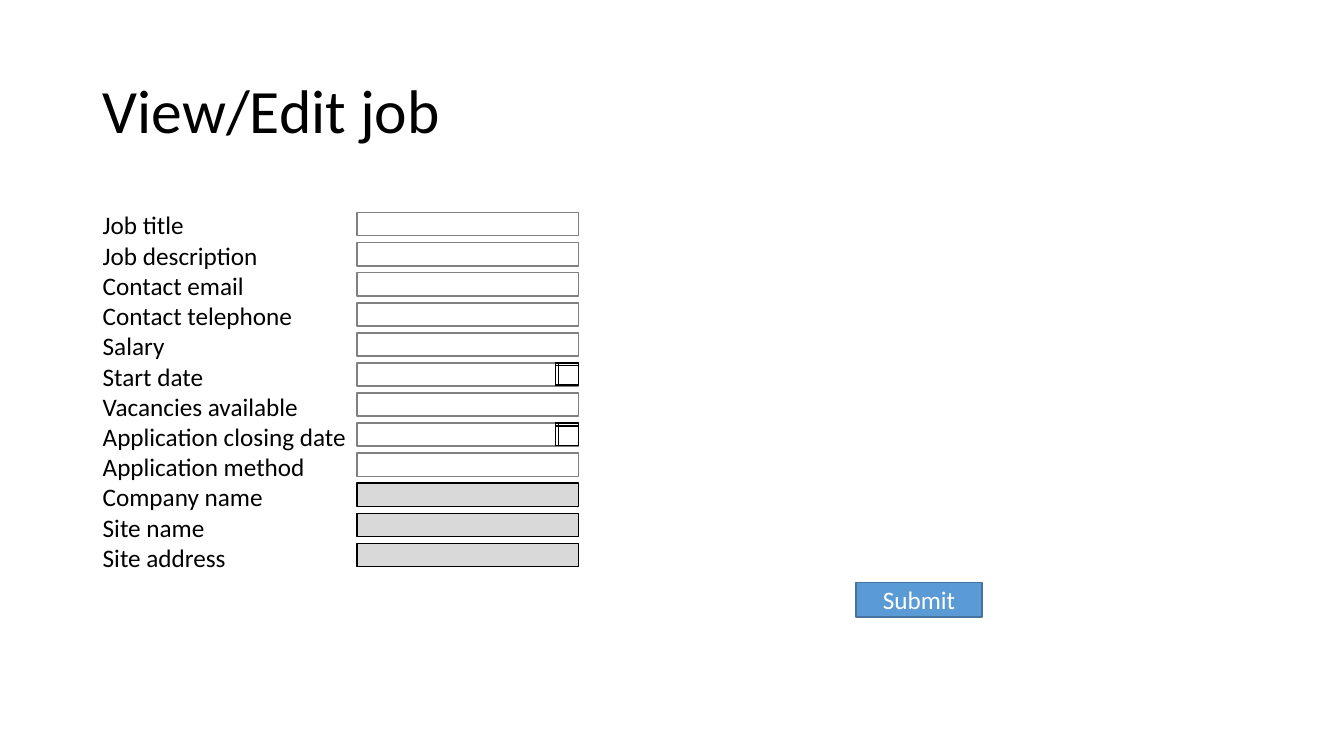
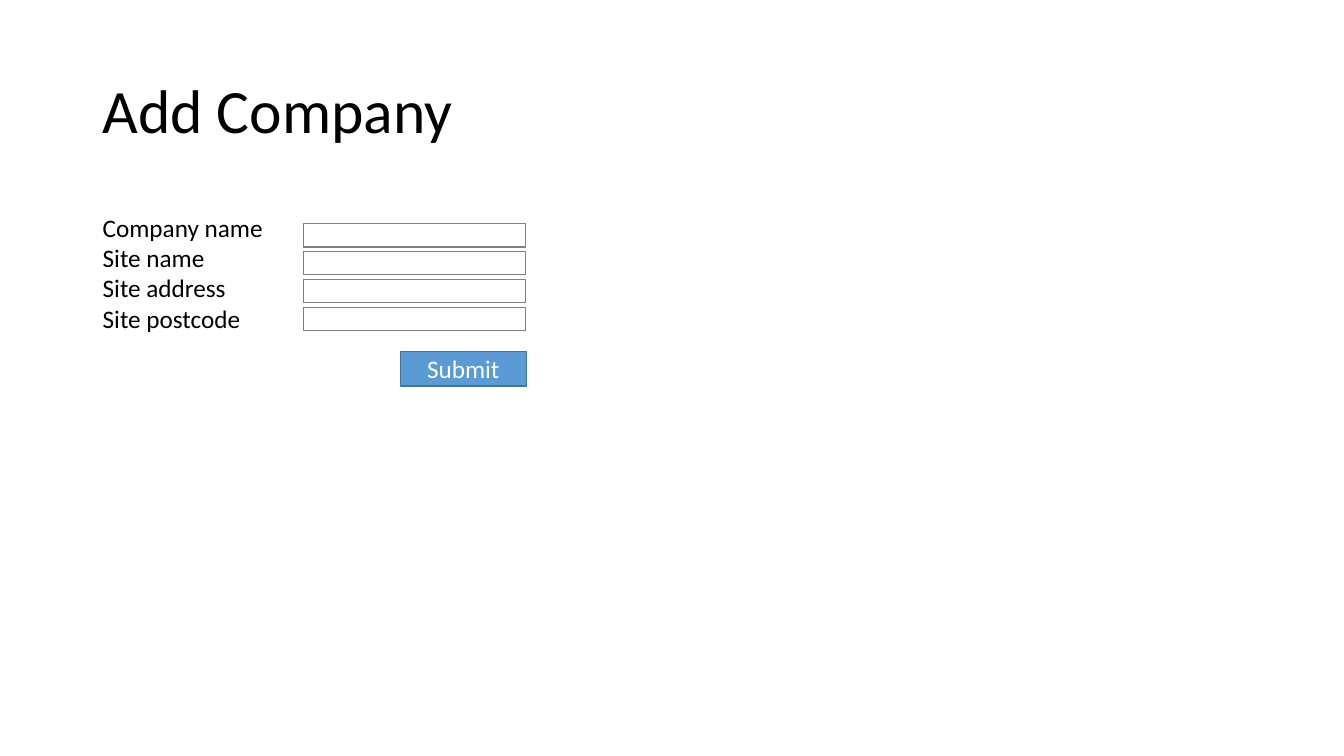
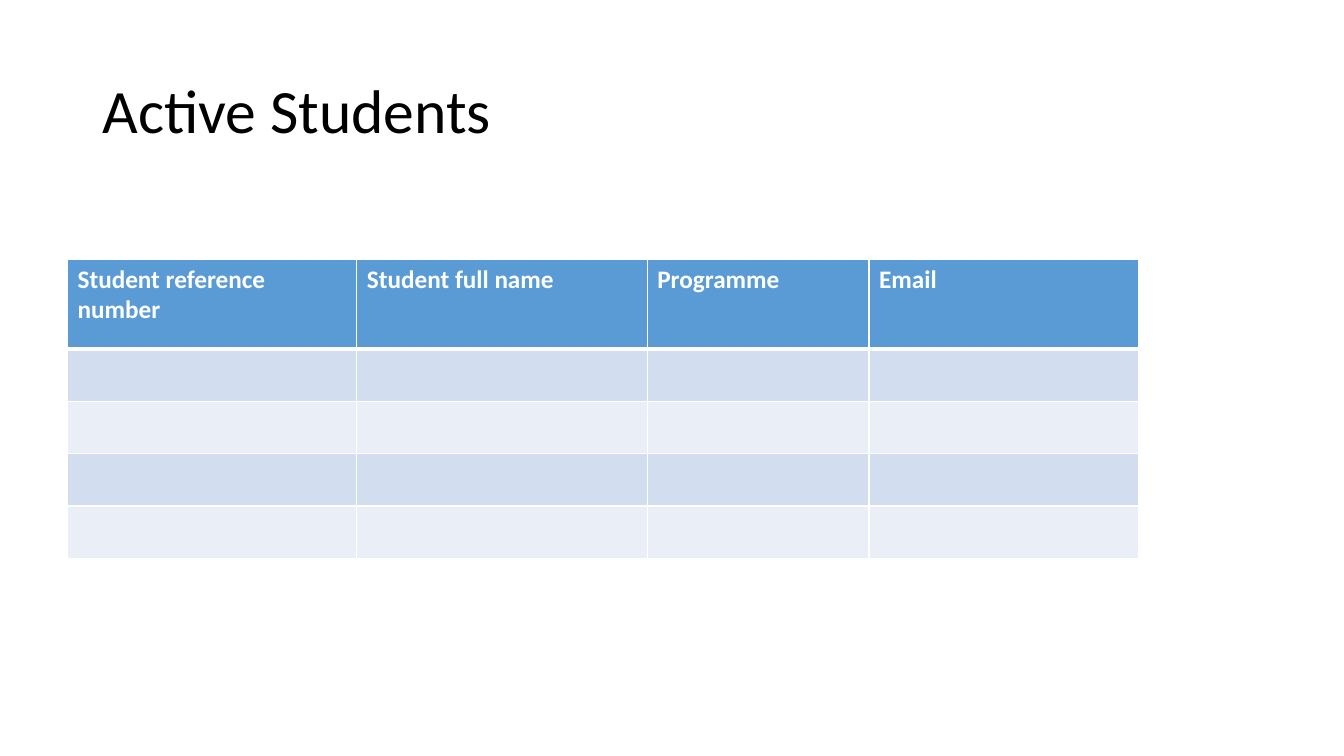
from lxml import etree
from pptx import Presentation
from pptx.dml.color import RGBColor
from pptx.enum.shapes import MSO_SHAPE as Shape
from pptx.enum.text import MSO_ANCHOR as Anchor, PP_ALIGN as Align
from pptx.oxml.ns import qn
from pptx.util import Inches, Pt

# Shared colours and text formats
BLACK, WHITE, GREY, LIGHT_GREY = "000000", "FFFFFF", "808080", "D9D9D9"
BLUE, DARK_BLUE = "5B9BD5", "43739E"
BANDS = ("D2DEEF", "EAEFF7")
TITLE = {"name": "Calibri", "size": Pt(44)}
BODY = {"name": "Calibri", "size": Pt(18)}
HEADER = {**BODY, "bold": True}

# Shared form sizes
LEFT, LABEL_WIDTH = 0.92, 2.62
FIELD_WIDTH, FIELD_HEIGHT = 2.2, 0.23


def color(value):
    return RGBColor.from_string(value)


def write(frame, lines, style, ink, align=Align.LEFT, spacing=None):
    for index, line in enumerate(lines):
        para = frame.paragraphs[0] if index == 0 else frame.add_paragraph()
        para.alignment = align
        if spacing:
            para.line_spacing = spacing
        span = para.add_run()
        span.text = line
        for name, value in style.items():
            setattr(span.font, name, value)
        span.font.color.rgb = color(ink)


def add_title(page, text):
    box = page.shapes.add_textbox(Inches(LEFT), Inches(0.4), Inches(11.5), Inches(1.45))
    box.text_frame.word_wrap = True
    box.text_frame.vertical_anchor = Anchor.MIDDLE
    write(box.text_frame, [text], TITLE, BLACK, spacing=0.9)


def add_box(page, place, fill, line=None, kind=Shape.RECTANGLE):
    box = page.shapes.add_shape(kind, *map(Inches, place))
    box.shadow.inherit = False
    box.fill.solid()
    box.fill.fore_color.rgb = color(fill)
    if line:
        box.line.color.rgb = color(line)
        box.line.width = Pt(1)
    else:
        box.line.fill.background()
    box.text_frame.vertical_anchor = Anchor.MIDDLE
    return box


def add_labels(page, top, height, labels):
    box = add_box(page, (LEFT, top, LABEL_WIDTH, height), WHITE)
    write(box.text_frame, labels, BODY, BLACK)


def add_fields(page, left, first, last, count, locked=0, dates=()):
    """Spread fields evenly; the last ones are locked, some take a date."""
    step = (last - first) / (count - 1)
    for row in range(count):
        top = first + row * step
        fill, line = (LIGHT_GREY, BLACK) if row >= count - locked else (WHITE, GREY)
        add_box(page, (left, top, FIELD_WIDTH, FIELD_HEIGHT), fill, line)
        if row in dates:
            icon_left = left + FIELD_WIDTH - FIELD_HEIGHT
            add_box(page, (icon_left, top, FIELD_HEIGHT, 0.22), WHITE, BLACK,
                    Shape.FLOWCHART_INTERNAL_STORAGE)


def add_submit(page, left, top):
    button = add_box(page, (left, top, 1.25, 0.34), BLUE, DARK_BLUE)
    write(button.text_frame, ["Submit"], BODY, WHITE, Align.CENTER)


def set_borders(cell, widths):
    """Draw white cell borders, with widths in points by side."""
    props = cell._tc.get_or_add_tcPr()
    for index, (side, width) in enumerate(widths.items()):
        line = etree.Element(qn(f"a:ln{side}"), w=str(Pt(width)))
        fill = etree.SubElement(line, qn("a:solidFill"))
        etree.SubElement(fill, qn("a:srgbClr"), val=WHITE)
        props.insert(index, line)


def add_student_table(page, headings, widths, heights):
    table = page.shapes.add_table(
        len(heights), len(widths), Inches(0.67), Inches(2.57),
        Inches(sum(widths)), Inches(sum(heights))).table
    for column, width in zip(table.columns, widths):
        column.width = Inches(width)
    for index, (row, height) in enumerate(zip(table.rows, heights)):
        row.height = Inches(height)
        for cell, heading in zip(row.cells, headings):
            cell.fill.solid()
            cell.fill.fore_color.rgb = color(BANDS[(index - 1) % 2] if index else BLUE)
            set_borders(cell, {"L": 1, "R": 1, "T": 3 if index == 1 else 1,
                               "B": 1 if index else 3})
            if index == 0:
                write(cell.text_frame, [heading], HEADER, WHITE)


def main():
    deck = Presentation()
    deck.slide_width, deck.slide_height = Inches(13.33), Inches(7.5)

    def add_page(title):
        page = deck.slides.add_slide(deck.slide_layouts[6])
        add_title(page, title)
        return page

    # Job form
    page = add_page("View/Edit job")
    labels = ["Job title", "Job description", "Contact email", "Contact telephone",
              "Salary", "Start date", "Vacancies available",
              "Application closing date", "Application method", "Company name",
              "Site name", "Site address"]
    dates = [row for row, label in enumerate(labels) if label.endswith("date")]
    add_labels(page, 2.01, 3.74, labels)
    add_fields(page, 3.54, 2.11, 5.39, len(labels), locked=3, dates=dates)
    add_submit(page, 8.49, 5.78)

    # Company form
    page = add_page("Add Company")
    labels = ["Company name", "Site name", "Site address", "Site postcode"]
    add_labels(page, 2.05, 1.31, labels)
    add_fields(page, 3.01, 2.22, 3.05, len(labels))
    add_submit(page, 3.97, 3.49)

    # Student list
    page = add_page("Active Students")
    add_student_table(
        page, ["Student reference number", "Student full name", "Programme", "Email"],
        [2.87, 2.88, 2.2, 2.67], [0.89] + [0.52] * 4)

    deck.save("out.pptx")


if __name__ == "__main__":
    main()
